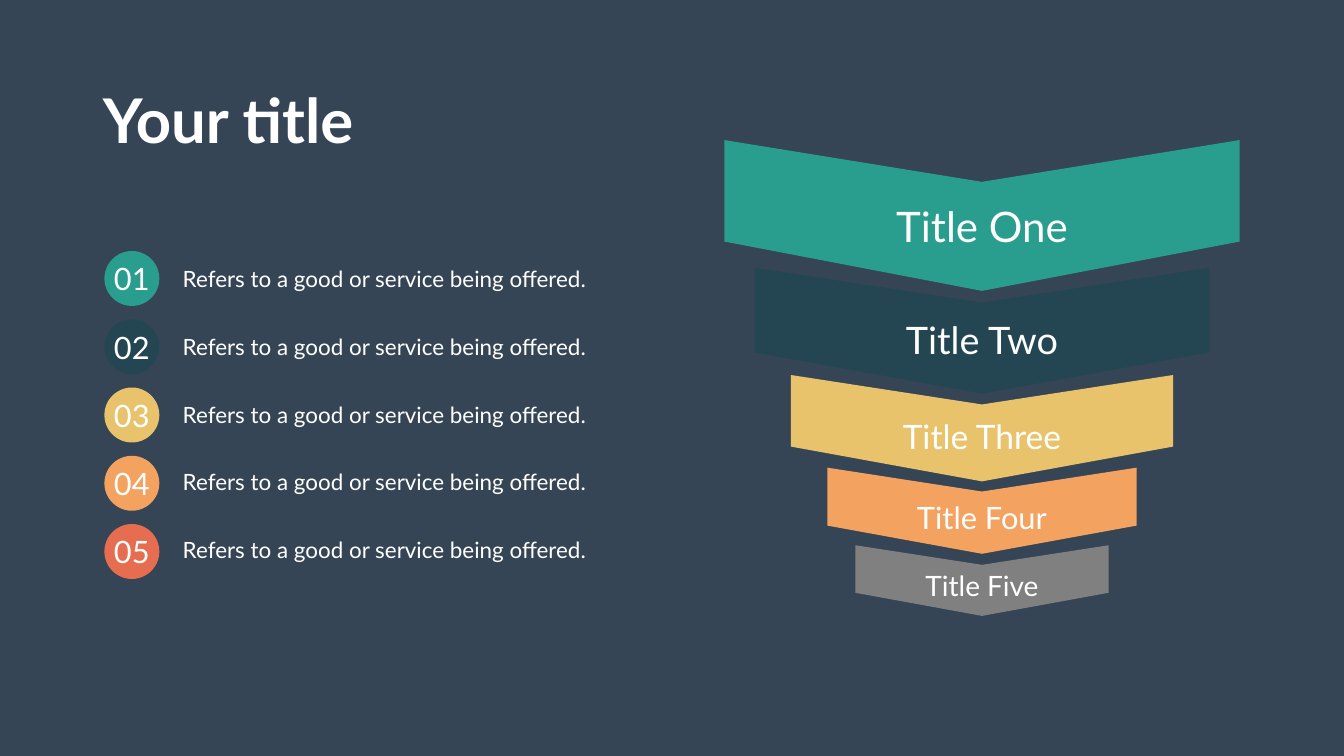
import pptx
import pptx.dml.color
import pptx.enum.shapes
import pptx.enum.text
import pptx.oxml.xmlchemy
import pptx.util
from lxml import etree

Cm = pptx.util.Cm
Pt = pptx.util.Pt
ALIGN = pptx.enum.text.PP_ALIGN
MIDDLE = pptx.enum.text.MSO_ANCHOR.MIDDLE

TITLE = "Your title"
DESCRIPTION = "Refers to a good or service being offered."
# number, badge colour
ITEMS = [
    ("01", "299D8E"),
    ("02", "244653"),
    ("03", "E9C36B"),
    ("04", "F4A260"),
    ("05", "E76D51"),
]
# label, type size, colour, top, width, height (cm)
CHEVRONS = [
    ("Title One", 60, "299D8E", 7.06, 25.96, 7.6),
    ("Title Two", 54, "244653", 13.49, 22.92, 6.35),
    ("Title Three", 48, "E9C36B", 18.9, 19.26, 5.36),
    ("Title Four", 44, "F4A260", 23.57, 15.58, 4.34),
    ("Title Five", 40, "808080", 27.48, 12.76, 3.56),
]
THEME = {
    "font": "Lato", "background": "364556", "text": "FFFFFF",
    "title": 88, "number": 44, "body": 32,
}

SLIDE_W, SLIDE_H = 67.72, 38.1
FUNNEL_X = 49.48
# shares of a chevron's height, measured from its top
NOTCH, SIDE, LABEL = 0.277, 0.673, 0.57
BADGE_X, BADGE_Y, BADGE_SIZE, BADGE_PITCH = 5.26, 12.65, 2.77, 3.44
LIST_X, LIST_Y, LIST_W, LIST_PITCH = 8.84, 13.23, 21.06, 3.42
LINE_HEIGHT = 1.2


def rgb(value):
    return pptx.dml.color.RGBColor.from_string(value)


def style(p, size, align, bold=False):
    p.alignment = align
    for r in p.runs:
        r.font.name = THEME["font"]
        r.font.size = Pt(size)
        r.font.bold = bold
        r.font.color.rgb = rgb(THEME["text"])


def paint(s, color):
    s.shadow.inherit = False
    s.fill.solid()
    s.fill.fore_color.rgb = rgb(color)
    s.line.fill.background()


def place(s, x, y, w, h):
    s.left, s.top, s.width, s.height = Cm(x), Cm(y), Cm(w), Cm(h)


def write_line(s, text, size, align=ALIGN.CENTER, bold=False):
    """Put one unwrapped, vertically centred line into a shape."""
    tf = s.text_frame
    tf.text = text
    tf.word_wrap = False
    tf.auto_size = pptx.enum.text.MSO_AUTO_SIZE.NONE
    tf.vertical_anchor = MIDDLE
    style(tf.paragraphs[0], size, align, bold)


def add_chevron(shapes, label, size, color, top, width, height):
    left, right = FUNNEL_X - width / 2, FUNNEL_X + width / 2
    side = top + SIDE * height
    points = [
        (left, top), (FUNNEL_X, top + NOTCH * height), (right, top),
        (right, side), (FUNNEL_X, top + height), (left, side),
    ]
    start, *rest = [(Cm(x), Cm(y)) for x, y in points]
    builder = shapes.build_freeform(*start)
    builder.add_line_segments(rest, close=True)
    paint(builder.convert_to_shape(), color)

    box_w, box_h = 9.2, size * LINE_HEIGHT / 72 * 2.54 + 0.25
    box = shapes.add_textbox(
        Cm(FUNNEL_X - box_w / 2), Cm(top + LABEL * height - box_h / 2),
        Cm(box_w), Cm(box_h))
    write_line(box, label, size)


def add_badge(shapes, row, number, color):
    s = shapes.add_shape(
        pptx.enum.shapes.MSO_SHAPE.OVAL,
        Cm(BADGE_X), Cm(BADGE_Y + row * BADGE_PITCH),
        Cm(BADGE_SIZE), Cm(BADGE_SIZE))
    paint(s, color)
    write_line(s, number, THEME["number"])


def fill_list(s):
    """One description per badge, spaced to the rows."""
    line = THEME["body"] * LINE_HEIGHT
    place(s, LIST_X, LIST_Y, LIST_W, (len(ITEMS) - 1) * LIST_PITCH + 1.63)
    tf = s.text_frame
    tf.text = "\n".join([DESCRIPTION] * len(ITEMS))
    tf.word_wrap = True
    tf.auto_size = pptx.enum.text.MSO_AUTO_SIZE.NONE
    for i, p in enumerate(tf.paragraphs):
        p.space_before = Pt(round(LIST_PITCH / 2.54 * 72 - line, 1) if i else 0)
        pPr = p._p.get_or_add_pPr()
        pPr.set("marL", "0")
        pPr.set("indent", "0")
        etree.SubElement(pPr, pptx.oxml.ns.qn("a:buNone"))
        style(p, THEME["body"], ALIGN.CENTER)


def main():
    prs = pptx.Presentation()
    prs.slide_width, prs.slide_height = Cm(SLIDE_W), Cm(SLIDE_H)
    slide = prs.slides.add_slide(prs.slide_layouts[1])
    slide.background.fill.solid()
    slide.background.fill.fore_color.rgb = rgb(THEME["background"])

    title, body = slide.placeholders
    place(title, 4.93, 3.99, 13.61, 4.01)
    write_line(title, TITLE, THEME["title"], ALIGN.LEFT, bold=True)
    fill_list(body)

    for chevron in CHEVRONS:
        add_chevron(slide.shapes, *chevron)
    for row, (number, color) in enumerate(ITEMS):
        add_badge(slide.shapes, row, number, color)
    prs.save("out.pptx")


if __name__ == "__main__":
    main()
